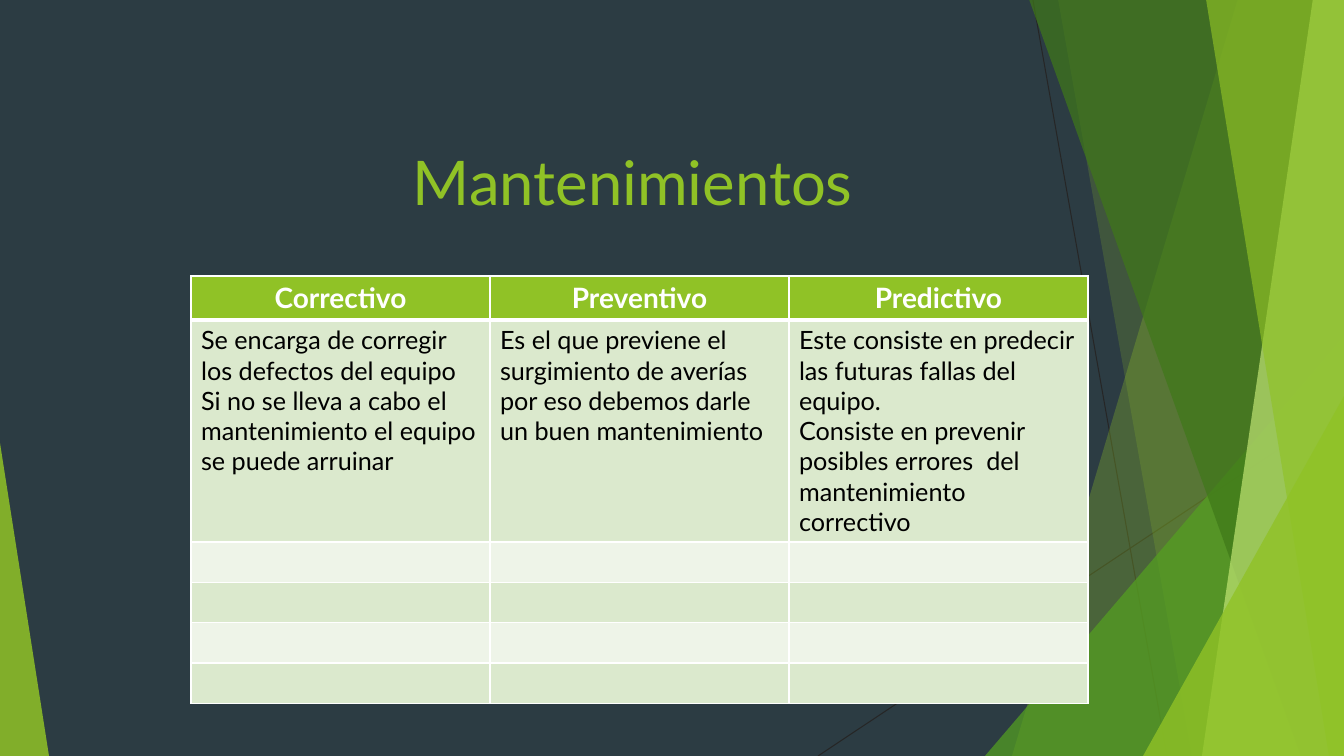
from lxml import etree
from pptx import Presentation
from pptx import util as u
from pptx.dml.color import RGBColor
from pptx.enum import shapes, text
from pptx.oxml import ns

SCALE = 914400 / 100.8
WIDTH, HEIGHT = 1344, 756
FONT = "Lato"
COLORS = {
    "background": "2C3C43", "line": "262626", "lime": "90C226", "green": "54A021",
    "forest": "3F7819", "pale": "C0E474", "white": "FFFFFF", "black": "000000",
    "band_dark": "DBE9CD", "band_light": "EEF4E8",
}
LINES = [((1033, 0), (1167, HEIGHT)), ((WIDTH, 406), (818, HEIGHT))]
# Top left x, top right x, bottom left x, colour, opacity
BACK_PANELS = [(1238, 1012, "lime", 30), (1058, 1192, "lime", 20)]
FRONT_PANELS = [(1029, 1301, "forest", 70), (1313, 1202, "pale", 70),
                (1206, 1329, "lime", 65)]
# Left, top, width, apex position, colour, opacity
BACK_TRIANGLES = [(985, 336, 359, 1, "green", 72)]
FRONT_TRIANGLES = [(1143, 396, 201, 1, "lime", 80), (0, 443, 49, 0, "lime", 85)]
COLUMN_WIDTH = 299
ROW_HEIGHTS = [44, 222, 40, 40, 40, 40]
HEADINGS = ["Correctivo", "Preventivo", "Predictivo"]
DESCRIPTIONS = [
    ["Se encarga de corregir los defectos del equipo ",
     "Si no se lleva a cabo el mantenimiento el equipo se puede arruinar"],
    ["Es el que previene el surgimiento de averías por eso debemos darle "
     "un buen mantenimiento"],
    ["Este consiste en predecir las futuras fallas del equipo.",
     "Consiste en prevenir posibles errores  del mantenimiento correctivo"],
]


def px(value):
    """Turn pixels into EMU."""
    return u.Emu(round(value * SCALE))


def rgb(name):
    """Look up a named colour."""
    return RGBColor.from_string(COLORS[name])


def paint(shape, color, opacity):
    """Give a shape a translucent fill, no outline and no shadow."""
    shape.shadow.inherit = False
    shape.line.fill.background()
    shape.fill.solid()
    shape.fill.fore_color.rgb = rgb(color)
    node = shape.fill._xPr.find(".//" + ns.qn("a:srgbClr"))
    etree.SubElement(node, ns.qn("a:alpha"), val=str(opacity * 1000))


def add_line(slide, start, end):
    """Draw a thin dark line."""
    line = slide.shapes.add_connector(
        shapes.MSO_CONNECTOR.STRAIGHT, *map(px, start + end))
    line.line.color.rgb = rgb("line")
    line.line.width = u.Pt(0.75)
    etree.SubElement(line._element.spPr, ns.qn("a:effectLst"))


def add_panel(slide, top_x, bottom_x, color, opacity):
    """Draw a full-height panel with a slanted left edge."""
    builder = slide.shapes.build_freeform(top_x, -1, scale=SCALE)
    builder.add_line_segments([(WIDTH, -1), (WIDTH, HEIGHT), (bottom_x, HEIGHT)])
    paint(builder.convert_to_shape(), color, opacity)


def add_triangle(slide, left, top, width, apex, color, opacity):
    """Draw a right triangle standing on the bottom edge."""
    triangle = slide.shapes.add_shape(
        shapes.MSO_SHAPE.ISOSCELES_TRIANGLE,
        *map(px, (left, top, width, HEIGHT - top)))
    triangle.adjustments[0] = apex
    paint(triangle, color, opacity)


def write(frame, lines, size, color, bold=False, align=text.PP_ALIGN.LEFT):
    """Fill a text frame with one formatted paragraph per line."""
    font_format = {"name": FONT, "size": u.Pt(size), "bold": bold}
    for index, line in enumerate(lines):
        para = frame.paragraphs[0] if index == 0 else frame.add_paragraph()
        para.alignment = align
        span = para.add_run()
        span.text = line
        for key, value in font_format.items():
            setattr(span.font, key, value)
        span.font.color.rgb = rgb(color)


def style_cell(cell, color, bottom_width):
    """Give a cell white borders and a solid fill."""
    properties = cell._tc.get_or_add_tcPr()
    for side, width in zip("LRTB", (1, 1, 1, bottom_width)):
        border = etree.SubElement(
            properties, ns.qn("a:ln" + side), w=str(u.Pt(width)))
        fill = etree.SubElement(border, ns.qn("a:solidFill"))
        etree.SubElement(fill, ns.qn("a:srgbClr"), val=COLORS["white"])
    cell.fill.solid()
    cell.fill.fore_color.rgb = rgb(color)


def add_maintenance_table(slide):
    """Build the table of maintenance kinds with its empty banded rows."""
    columns = len(HEADINGS)
    table = slide.shapes.add_table(
        len(ROW_HEIGHTS), columns, px(191), px(276),
        px(COLUMN_WIDTH * columns), px(sum(ROW_HEIGHTS))).table
    for column in table.columns:
        column.width = px(COLUMN_WIDTH)
    for index, height in enumerate(ROW_HEIGHTS):
        table.rows[index].height = px(height)
        band = "band_dark" if index % 2 else "band_light"
        for cell in table.rows[index].cells:
            style_cell(cell, band if index else "lime", 1 if index else 3)
    for index, (heading, lines) in enumerate(zip(HEADINGS, DESCRIPTIONS)):
        write(table.cell(0, index).text_frame, [heading], 20, "white", True,
              text.PP_ALIGN.CENTER)
        write(table.cell(1, index).text_frame, lines, 18, "black")


def set_title(slide, title):
    """Place and format the title placeholder."""
    box = slide.shapes.title
    placement = {"left": 234, "top": 139, "width": 798, "height": 85}
    for key, value in placement.items():
        setattr(box, key, px(value))
    frame = box.text_frame
    frame.word_wrap = True
    frame.auto_size = text.MSO_AUTO_SIZE.SHAPE_TO_FIT_TEXT
    frame.vertical_anchor = text.MSO_ANCHOR.TOP
    write(frame, [title], 44, "lime", align=text.PP_ALIGN.CENTER)


def main():
    """Build and save the slide."""
    deck = Presentation()
    deck.slide_width, deck.slide_height = px(WIDTH), px(HEIGHT)
    slide = deck.slides.add_slide(deck.slide_layouts[5])
    slide.background.fill.solid()
    slide.background.fill.fore_color.rgb = rgb("background")
    for start, end in LINES:
        add_line(slide, start, end)
    for panels, triangles in ((BACK_PANELS, BACK_TRIANGLES),
                              (FRONT_PANELS, FRONT_TRIANGLES)):
        for panel in panels:
            add_panel(slide, *panel)
        for triangle in triangles:
            add_triangle(slide, *triangle)
    add_maintenance_table(slide)
    set_title(slide, "Mantenimientos")
    deck.save("out.pptx")


main()
